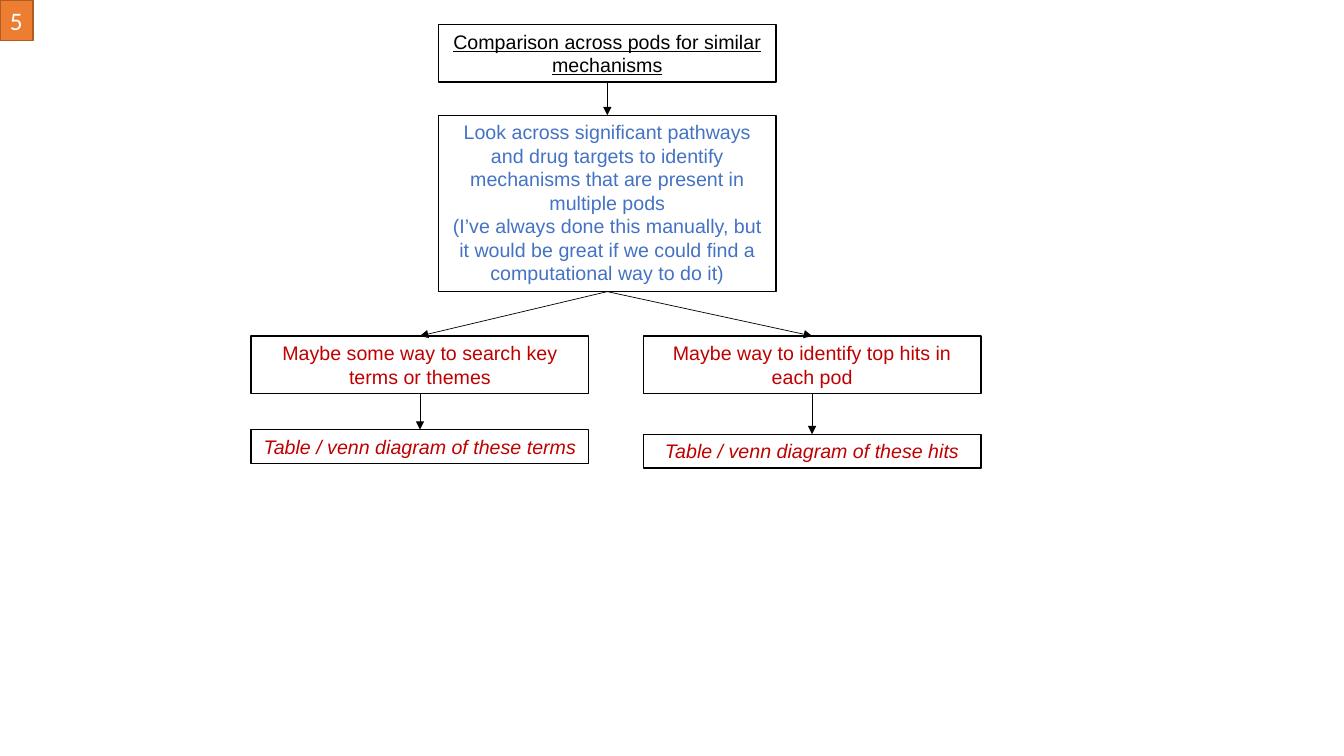
"""Build a flowchart slide on comparing mechanisms across pods."""
from dataclasses import dataclass

import pptx
import pptx.dml.color
import pptx.enum.shapes
import pptx.enum.text
import pptx.oxml
import pptx.oxml.ns
import pptx.util

Pt = pptx.util.Pt
RGBColor = pptx.dml.color.RGBColor
Align = pptx.enum.text.PP_ALIGN
Anchor = pptx.enum.text.MSO_ANCHOR
AutoSize = pptx.enum.text.MSO_AUTO_SIZE
BOTTOM_SITE, TOP_SITE = 2, 0


@dataclass(frozen=True)
class Theme:
    font: str = "Arial"
    badge_font: str = "Calibri"
    size: float = 14
    badge_size: float = 18
    box_line: float = 1
    arrow_line: float = 0.5
    black: str = "000000"
    white: str = "FFFFFF"
    blue: str = "4472C4"
    red: str = "C00000"
    orange: str = "ED7D31"
    orange_line: str = "AF5C24"


THEME = Theme()


@dataclass(frozen=True)
class Box:
    name: str
    left: float
    top: float
    height: float
    paragraphs: tuple[str, ...]
    color: str
    width: float = 241.2
    italic: bool = False
    underline: bool = False
    parent: str = ""


CENTER, LEFT, RIGHT = 313.2, 179.4, 459.5
BRANCH_TOP, TWO_LINES, ONE_LINE = 240, 41.2, 24.2

BOXES = (
    Box("heading", CENTER, 17.5, TWO_LINES, ("Comparison across pods for similar mechanisms",),
        THEME.black, underline=True),
    Box("pathways", CENTER, 82.3, 126, (
        "Look across significant pathways and drug targets to identify mechanisms "
        "that are present in multiple pods",
        "(I’ve always done this manually, but it would be great if we could find "
        "a computational way to do it)",
    ), THEME.blue, parent="heading"),
    Box("search", LEFT, BRANCH_TOP, TWO_LINES, ("Maybe some way to search key terms or themes",),
        THEME.red, parent="pathways"),
    Box("terms", LEFT, 306.9, ONE_LINE, ("Table / venn diagram of these terms",),
        THEME.red, italic=True, parent="search"),
    Box("top hits", RIGHT, BRANCH_TOP, TWO_LINES, ("Maybe way to identify top hits in each pod",),
        THEME.red, parent="pathways"),
    Box("hits", RIGHT, 310.2, ONE_LINE, ("Table / venn diagram of these hits",),
        THEME.red, italic=True, parent="top hits"),
)


def write_text(shape, paragraphs: tuple[str, ...], *, color: str, font: str = THEME.font,
               size: float = THEME.size, italic: bool = False, underline: bool = False,
               align=Align.CENTER, wrap: bool = True) -> None:
    frame = shape.text_frame
    frame.text = "\n".join(paragraphs)
    frame.word_wrap = wrap
    frame.auto_size = AutoSize.NONE
    frame.vertical_anchor = Anchor.TOP
    for paragraph in frame.paragraphs:
        paragraph.alignment = align
        for run in paragraph.runs:
            run.font.name = font
            run.font.size = Pt(size)
            run.font.italic = italic
            run.font.underline = underline
            run.font.color.rgb = RGBColor.from_string(color)


def paint(shape, fill: str, line: str) -> None:
    shape.fill.solid()
    shape.fill.fore_color.rgb = RGBColor.from_string(fill)
    shape.line.color.rgb = RGBColor.from_string(line)
    shape.line.width = Pt(THEME.box_line)


def add_rectangle(slide, left: float, top: float, width: float, height: float):
    shape = slide.shapes.add_shape(pptx.enum.shapes.MSO_SHAPE.RECTANGLE,
                                   Pt(left), Pt(top), Pt(width), Pt(height))
    shape.shadow.inherit = False
    return shape


def draw_box(slide, box: Box):
    if box.parent:
        shape = add_rectangle(slide, box.left, box.top, box.width, box.height)
    else:
        shape = slide.shapes.title
        shape.left, shape.top = Pt(box.left), Pt(box.top)
        shape.width, shape.height = Pt(box.width), Pt(box.height)
    paint(shape, THEME.white, THEME.black)
    write_text(shape, box.paragraphs, color=box.color, italic=box.italic, underline=box.underline)
    return shape


def draw_arrow(slide, parent, child) -> None:
    connector = slide.shapes.add_connector(pptx.enum.shapes.MSO_CONNECTOR.STRAIGHT, 0, 0, 0, 0)
    connector.begin_connect(parent, BOTTOM_SITE)
    connector.end_connect(child, TOP_SITE)
    connector.line.color.rgb = RGBColor.from_string(THEME.black)
    connector.line.width = Pt(THEME.arrow_line)
    qualified = pptx.oxml.ns.qn
    properties = connector._element.spPr
    outline = properties.find(qualified("a:ln"))
    outline.append(outline.makeelement(qualified("a:tailEnd"), {"type": "triangle"}))
    properties.append(properties.makeelement(qualified("a:effectLst"), {}))


def draw_badge(slide) -> None:
    badge = add_rectangle(slide, 0, 0, 23.7, 29)
    paint(badge, THEME.orange, THEME.orange_line)
    write_text(badge, ("5",), color=THEME.white, font=THEME.badge_font,
               size=THEME.badge_size, align=Align.LEFT, wrap=False)


def main() -> None:
    presentation = pptx.Presentation()
    presentation.slide_width, presentation.slide_height = Pt(960), Pt(540)
    slide = presentation.slides.add_slide(presentation.slide_layouts.get_by_name("Title Only"))
    draw_badge(slide)
    shapes = {box.name: draw_box(slide, box) for box in BOXES}
    for box in BOXES:
        if box.parent:
            draw_arrow(slide, shapes[box.parent], shapes[box.name])
    presentation.save("out.pptx")


main()
